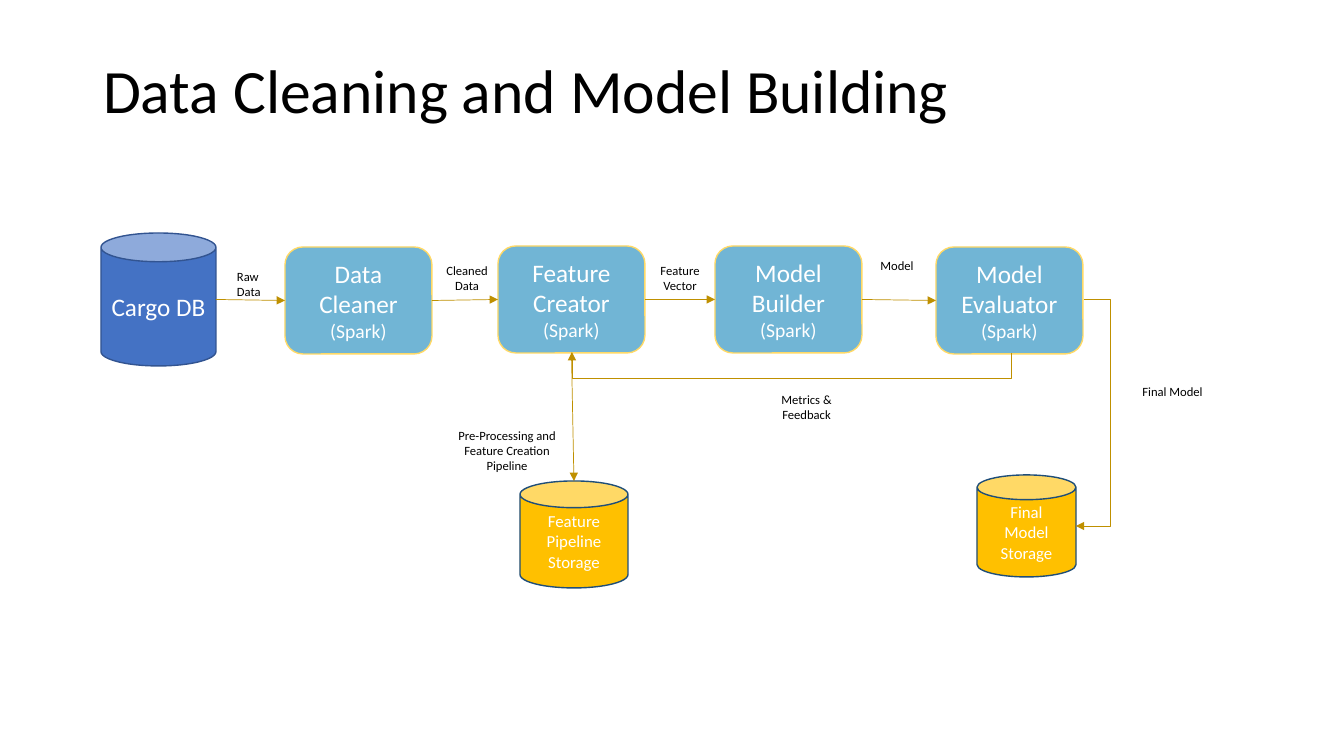
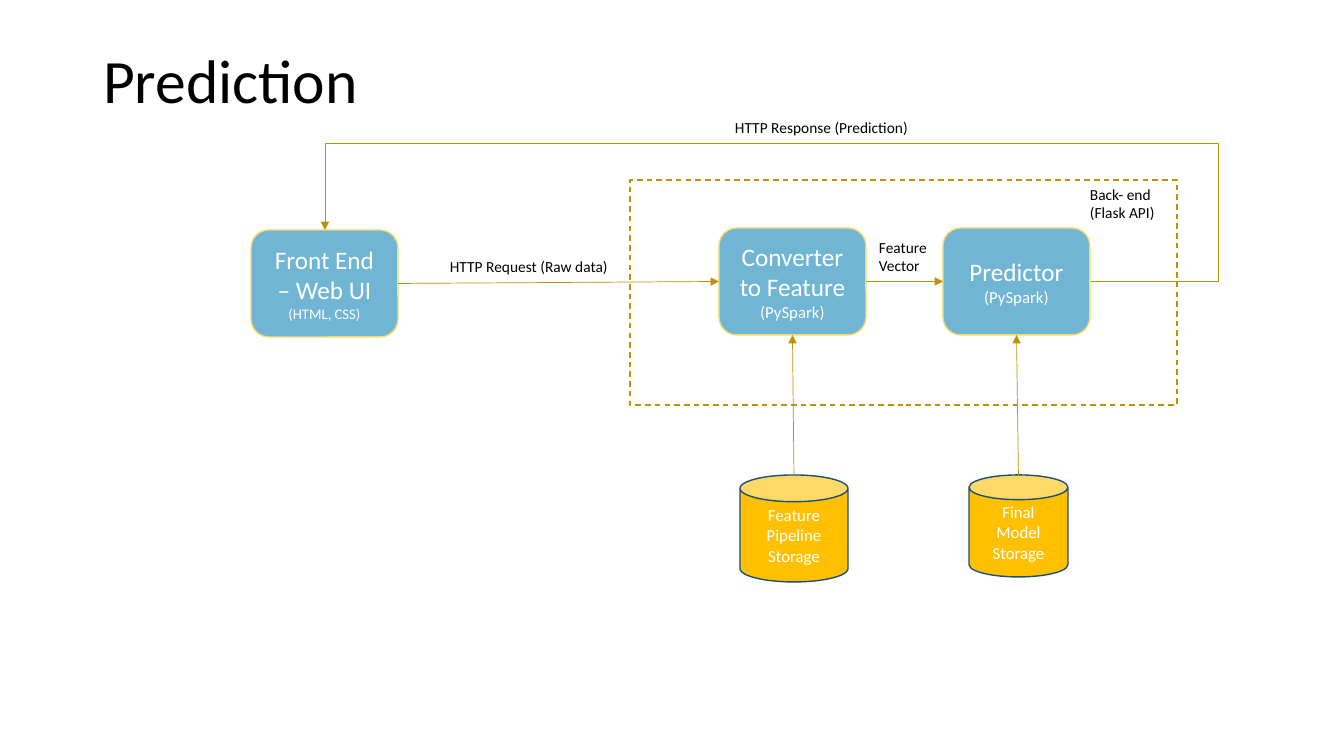
"""Builds two slides on a machine learning pipeline: training and prediction."""
from lxml import etree
from pptx import Presentation
from pptx.dml.color import RGBColor
from pptx.enum.dml import MSO_LINE
from pptx.enum.shapes import MSO_CONNECTOR, MSO_SHAPE
from pptx.enum.text import MSO_ANCHOR, MSO_AUTO_SIZE, PP_ALIGN
from pptx.oxml.ns import qn
from pptx.util import Emu, Pt

PX = 914400 / 100.8
FONT = "Calibri"
BLACK, WHITE = "000000", "FFFFFF"
BLUE, NAVY = "4472C4", "325491"
SKY, CREAM = "71B5D5", "FFD966"
GOLD, DEEP_BLUE, OCHRE = "FFC000", "1F4E79", "BF9000"

BOX, CAN, RECT = MSO_SHAPE.ROUNDED_RECTANGLE, MSO_SHAPE.CAN, MSO_SHAPE.RECTANGLE
STRAIGHT, ELBOW = MSO_CONNECTOR.STRAIGHT, MSO_CONNECTOR.ELBOW
LEFT, CENTER = PP_ALIGN.LEFT, PP_ALIGN.CENTER
MIDDLE, TOP = MSO_ANCHOR.MIDDLE, MSO_ANCHOR.TOP
GROW, DASH = MSO_AUTO_SIZE.SHAPE_TO_FIT_TEXT, MSO_LINE.DASH
TOP_SIDE, LEFT_SIDE, BOTTOM_SIDE, RIGHT_SIDE = range(4)

BOX_W, BOX_H = 147, 107
FEATURE_STORAGE = ("Feature Pipeline Storage", 108, 107)
MODEL_STORAGE = ("Final Model Storage", 99, 102)


def px(*values):
    """Turn pixels into EMU."""
    return [Emu(round(v * PX)) for v in values]


def rgb(value):
    """Turn a hex string into a colour."""
    return RGBColor.from_string(value)


def apply(obj, values):
    """Set every attribute in the dict."""
    for name, value in values.items():
        setattr(obj, name, value)


def write(tf, runs, color=BLACK, align=CENTER, anchor=TOP):
    """Write one paragraph of (text, size) runs."""
    apply(tf, {"word_wrap": True, "vertical_anchor": anchor})
    p = tf.paragraphs[0]
    p.alignment = align
    for text, size in runs:
        r = p.add_run()
        r.text = text
        apply(r.font, {"size": Pt(size), "name": FONT})
        r.font.color.rgb = rgb(color)
    return p


def outline(line, color, width):
    """Colour a line and set its width."""
    line.color.rgb = rgb(color)
    line.width = Pt(width)


def add_slide(prs, title, width, height):
    """Add a slide with its title."""
    s = prs.slides.add_slide(prs.slide_layouts[5])
    sp = s.shapes.title
    apply(sp, dict(zip(("left", "top", "width", "height"), px(93, 40, width, height))))
    write(sp.text_frame, [(title, 44)], align=LEFT, anchor=MIDDLE).line_spacing = 0.9
    return s


def shape(s, kind, place, fill, line, runs=()):
    """Add an outlined shape with centred white text."""
    sp = s.shapes.add_shape(kind, *px(*place))
    sp.shadow.inherit = False
    if fill:
        sp.fill.solid()
        sp.fill.fore_color.rgb = rgb(fill)
    else:
        sp.fill.background()
    outline(sp.line, line, 1)
    write(sp.text_frame, runs, WHITE, anchor=MIDDLE)
    return sp


def step(s, x, y, name, tool, tool_size):
    """Add a processing step with its technology."""
    runs = [(name + " ", 18), (tool, tool_size)]
    return shape(s, BOX, (x, y, BOX_W, BOX_H), SKY, CREAM, runs)


def storage(s, x, y, kind):
    """Add a golden storage can."""
    text, width, height = kind
    return shape(s, CAN, (x, y, width, height), GOLD, DEEP_BLUE, [(text, 12)])


def label(s, place, text, size, align=CENTER):
    """Add a small caption."""
    tf = s.shapes.add_textbox(*px(*place)).text_frame
    write(tf, [(text, size)], align=align)
    tf.auto_size = GROW


def arrow(s, kind, start, end):
    """Add a thin connector with an arrowhead at its end."""
    c = s.shapes.add_connector(kind, *start, *end)
    outline(c.line, OCHRE, 0.5)
    etree.SubElement(c.line._get_or_add_ln(), qn("a:tailEnd"), type="triangle")
    etree.SubElement(c._element.spPr, qn("a:effectLst"))
    return c


def side_point(sp, side):
    """Give the middle of one side of a shape."""
    x, y = sp.left + sp.width // 2, sp.top + sp.height // 2
    return [(x, sp.top), (sp.left, y), (x, sp.top + sp.height),
            (sp.left + sp.width, y)][side]


def link(s, first, second, start=RIGHT_SIDE, end=LEFT_SIDE):
    """Join two shapes by a straight arrow, glued to the steps."""
    c = arrow(s, STRAIGHT, side_point(first, start), side_point(second, end))
    if first.auto_shape_type == BOX:
        c.begin_connect(first, start)
    if second.auto_shape_type == BOX:
        c.end_connect(second, end)


def elbow(s, start, end, bends, turn=0):
    """Add a bent arrow; bends are fractions of its width and height."""
    c = arrow(s, ELBOW, px(*start), px(*end))
    geom = c._element.spPr.find(qn("a:prstGeom"))
    geom.set("prst", f"bentConnector{len(bends) + 2}")
    guides = geom.find(qn("a:avLst"))
    if guides is None:
        guides = etree.SubElement(geom, qn("a:avLst"))
    for i, bend in enumerate(bends, 1):
        etree.SubElement(guides, qn("a:gd"), name=f"adj{i}",
                         fmla=f"val {round(bend * 100000)}")
    if turn:
        c._element.spPr.find(qn("a:xfrm")).set("rot", str(turn * 60000))


def training_slide(prs):
    """Build the cleaning and model building flow."""
    s = add_slide(prs, "Data Cleaning and Model Building", 1159, 107)
    source = shape(s, CAN, (101, 233, 115, 133), BLUE, NAVY, [("Cargo DB", 18)])
    steps = [step(s, x, y, name, "(Spark)", 14) for x, y, name in (
        (285, 247, "Data Cleaner"), (498, 246, "Feature Creator"),
        (715, 246, "Model Builder"), (936, 247, "Model Evaluator"))]
    features = storage(s, 520, 481, FEATURE_STORAGE)
    storage(s, 977, 475, MODEL_STORAGE)
    flow = [source, *steps]
    for first, second in zip(flow, flow[1:]):
        link(s, first, second)
    link(s, steps[1], features, BOTTOM_SIDE, TOP_SIDE)
    elbow(s, (792, 133), (791, 572), [-26], turn=90)
    elbow(s, (1084, 299), (1076, 526), [-26 / 8])
    label(s, (227, 264, 51, 40), "Raw Data", 9, LEFT)
    for place, text in (
            ((435, 258, 64, 40), "Cleaned Data"),
            ((648, 258, 64, 40), "Feature Vector"),
            ((865, 253, 64, 25), "Model"),
            ((756, 387, 101, 40), "Metrics & Feedback"),
            ((1122, 379, 101, 25), "Final Model"),
            ((444, 423, 126, 56), "Pre-Processing and Feature Creation Pipeline")):
        label(s, place, text, 9)


def prediction_slide(prs):
    """Build the prediction request flow."""
    s = add_slide(prs, "Prediction", 1153, 87)
    features = storage(s, 740, 475, FEATURE_STORAGE)
    model = storage(s, 969, 475, MODEL_STORAGE)
    front = step(s, 251, 230, "Front End – Web UI", "(HTML, CSS)", 10.5)
    converter = step(s, 719, 228, "Converter to Feature", "(PySpark)", 12)
    predictor = step(s, 943, 228, "Predictor", "(PySpark)", 12)
    link(s, features, converter, TOP_SIDE, BOTTOM_SIDE)
    link(s, model, predictor, TOP_SIDE, BOTTOM_SIDE)
    link(s, front, converter)
    link(s, converter, predictor)
    back_end = shape(s, RECT, (630, 180, 547, 225), None, OCHRE)
    back_end.line.dash_style = DASH
    elbow(s, (1091, 281), (325, 230), [-127 / 766, 138 / 51])
    for place, text in (
            ((1080, 180, 101, 47), "Back- end (Flask API)"),
            ((440, 252, 182, 29), "HTTP Request (Raw data)"),
            ((725, 113, 233, 29), "HTTP Response (Prediction)"),
            ((869, 233, 106, 47), "Feature Vector")):
        label(s, place, text, 11, LEFT)


def main():
    """Build and save the presentation."""
    prs = Presentation()
    prs.slide_width, prs.slide_height = px(1344, 756)
    training_slide(prs)
    prediction_slide(prs)
    prs.save("out.pptx")


main()
